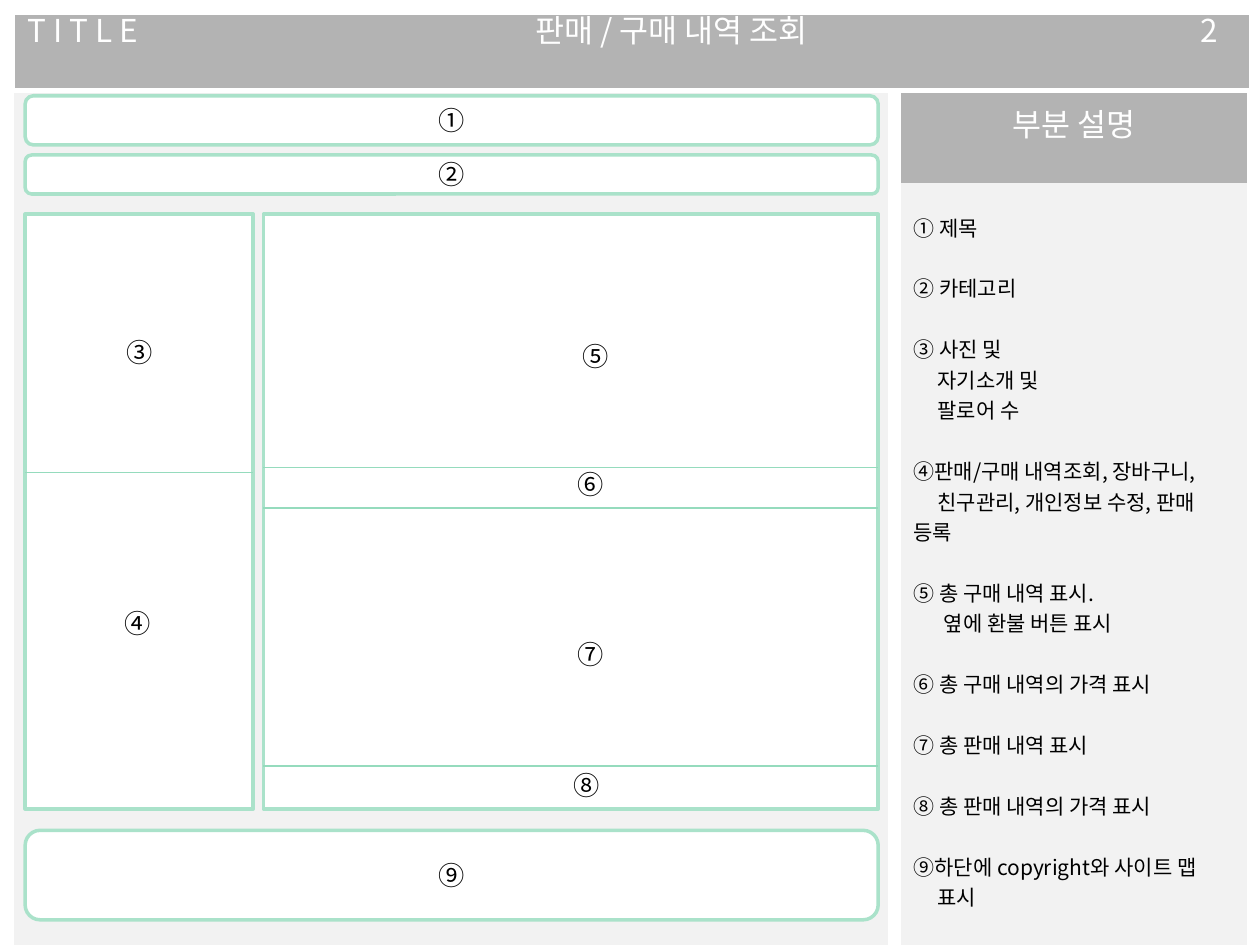
from lxml.etree import SubElement
from pptx import Presentation
from pptx.dml.color import RGBColor
from pptx.enum.shapes import MSO_CONNECTOR as CONN, MSO_SHAPE as SHAPE
from pptx.enum.text import MSO_ANCHOR as ANCHOR, PP_ALIGN as ALIGN
from pptx.oxml.ns import qn
from pptx.util import Inches, Pt

WHITE = RGBColor(0xFF, 0xFF, 0xFF)
BLACK = RGBColor(0x00, 0x00, 0x00)
GRAY = RGBColor(0xB3, 0xB3, 0xB3)
PALE = RGBColor(0xF2, 0xF2, 0xF2)
MINT = RGBColor(0xAA, 0xE2, 0xCA)
GREEN = RGBColor(0x95, 0xDB, 0xBD)
FONT = "Noto Sans CJK KR"
FONT_SC = "Noto Sans CJK SC"
PLAIN_TABLE = "{2D5ABB26-0587-4C30-8999-92F81FD0307C}"

LEFT, WIDTH = 0.2, 6.77
MAIN_LEFT, MAIN_WIDTH = 2.09, 4.88
BODY_TOP, BODY_HEIGHT, SIDE_WIDTH = 1.7, 4.72, 1.81

NOTES = [
    [("① 제목", 0)],
    [("② 카테고리", 0)],
    [("③ 사진 및", 0), ("자기소개 및", 0.19), ("팔로어 수", 0.19)],
    [("④판매/구매 내역조회, 장바구니,", 0),
     ("친구관리, 개인정보 수정, 판매 등록", 0.19)],
    [("⑤ 총 구매 내역 표시.", 0), ("옆에 환불 버튼 표시", 0.24)],
    [("⑥ 총 구매 내역의 가격 표시", 0)],
    [("⑦ 총 판매 내역 표시", 0)],
    [("⑧ 총 판매 내역의 가격 표시", 0)],
    [("⑨하단에 copyright와 사이트 맵", 0), ("표시", 0.19)],
]


class Wireframe:
    def __init__(self, slide):
        self.slide = slide
        self.shapes = slide.shapes

    def text(self, p, text, size=15, color=BLACK, align=ALIGN.CENTER, font=FONT):
        p.alignment = align
        r = p.add_run()
        r.text = text
        r.font.size = Pt(size)
        r.font.color.rgb = color
        r.font.name = font
        SubElement(r._r.get_or_add_rPr(), qn("a:ea")).set("typeface", font)

    def table(self, x, y, cols, rows, fills):
        frame = self.shapes.add_table(len(rows), len(cols), Inches(x), Inches(y),
                                      Inches(sum(cols)), Inches(sum(rows)))
        table = frame.table
        table.first_row = table.horz_banding = False
        table._tbl.tblPr.find(qn("a:tableStyleId")).text = PLAIN_TABLE
        for col, width in zip(table.columns, cols):
            col.width = Inches(width)
        for row, height, fill in zip(table.rows, rows, fills):
            row.height = Inches(height)
            for cell in row.cells:
                cell.fill.solid()
                cell.fill.fore_color.rgb = fill
        return table

    def box(self, kind, x, y, w, h, label="", font=FONT):
        sp = self.shapes.add_shape(kind, Inches(x), Inches(y), Inches(w), Inches(h))
        sp.shadow.inherit = False
        sp.fill.solid()
        sp.fill.fore_color.rgb = WHITE
        sp.line.color.rgb = MINT
        sp.line.width = Pt(2)
        if label:
            self.text(sp.text_frame.paragraphs[0], label, font=font)
        return sp

    def label(self, x, y, w, h, text):
        tf = self.shapes.add_textbox(Inches(x), Inches(y), Inches(w), Inches(h)).text_frame
        tf.word_wrap = True
        self.text(tf.paragraphs[0], text)

    def divider(self, x, y, w):
        line = self.shapes.add_connector(CONN.STRAIGHT, Inches(x), Inches(y),
                                         Inches(x + w), Inches(y))
        line.line.color.rgb = GREEN
        line.line.width = Pt(1)
        SubElement(line._element.spPr, qn("a:effectLst"))


def add_header(wf):
    header = wf.table(0.12, 0.12, [1.26, 7.9, 0.63], [0.58], [GRAY])
    titles = [("T I T L E", ALIGN.LEFT), ("판매 / 구매 내역 조회", ALIGN.CENTER),
              ("2", ALIGN.CENTER)]
    for cell, (title, align) in zip(header.rows[0].cells, titles):
        p = cell.text_frame.paragraphs[0]
        p.line_spacing = 0.58
        wf.text(p, title, 18, WHITE, align)


def add_notes(wf):
    notes = wf.table(7.15, 0.74, [2.75], [0.71, 6.29], [GRAY, PALE])
    wf.text(notes.cell(0, 0).text_frame.paragraphs[0], "부분 설명", 18, WHITE)
    body = notes.cell(1, 0)
    body.margin_top = Inches(0.23)
    tf = body.text_frame
    p = tf.paragraphs[0]
    for i, group in enumerate(NOTES):
        for j, (line, indent) in enumerate(group):
            if i or j:
                p = tf.add_paragraph()
            if i and not j:
                p.space_before = Pt(17.4)
            if indent:
                p._p.get_or_add_pPr().set("indent", str(Inches(indent)))
            wf.text(p, line, 12, align=ALIGN.LEFT)


def add_layout(wf):
    wf.table(0.11, 0.74, [6.94], [6.79], [PALE])
    wf.box(SHAPE.ROUNDED_RECTANGLE, LEFT, 0.76, WIDTH, 0.39, "①")
    wf.box(SHAPE.ROUNDED_RECTANGLE, LEFT, 1.23, WIDTH, 0.31, "②")
    side = wf.box(SHAPE.RECTANGLE, LEFT, BODY_TOP, SIDE_WIDTH, BODY_HEIGHT, "③")
    side.text_frame.vertical_anchor = ANCHOR.TOP
    side.text_frame.margin_top = Inches(0.97)
    wf.box(SHAPE.RECTANGLE, MAIN_LEFT, BODY_TOP, MAIN_WIDTH, BODY_HEIGHT)
    wf.box(SHAPE.ROUNDED_RECTANGLE, LEFT, 6.59, WIDTH, 0.71, "⑨", FONT_SC)

    wf.divider(LEFT, 3.75, SIDE_WIDTH)
    for y in (3.71, 4.03, 6.08):
        wf.divider(MAIN_LEFT, y, MAIN_WIDTH)

    wf.label(0.74, 4.77, 0.71, 0.6, "④")
    wf.label(4.29, 2.65, 0.87, 0.35, "⑤")
    wf.label(4.41, 3.67, 0.55, 0.35, "⑥")
    wf.label(3.98, 5.02, 1.42, 0.6, "⑦")
    wf.label(4.45, 6.06, 0.41, 0.35, "⑧")


def main():
    prs = Presentation()
    prs.slide_width, prs.slide_height = Inches(10), Inches(7.5)
    wf = Wireframe(prs.slides.add_slide(prs.slide_layouts[6]))
    add_header(wf)
    add_notes(wf)
    add_layout(wf)
    prs.save("out.pptx")


if __name__ == "__main__":
    main()
